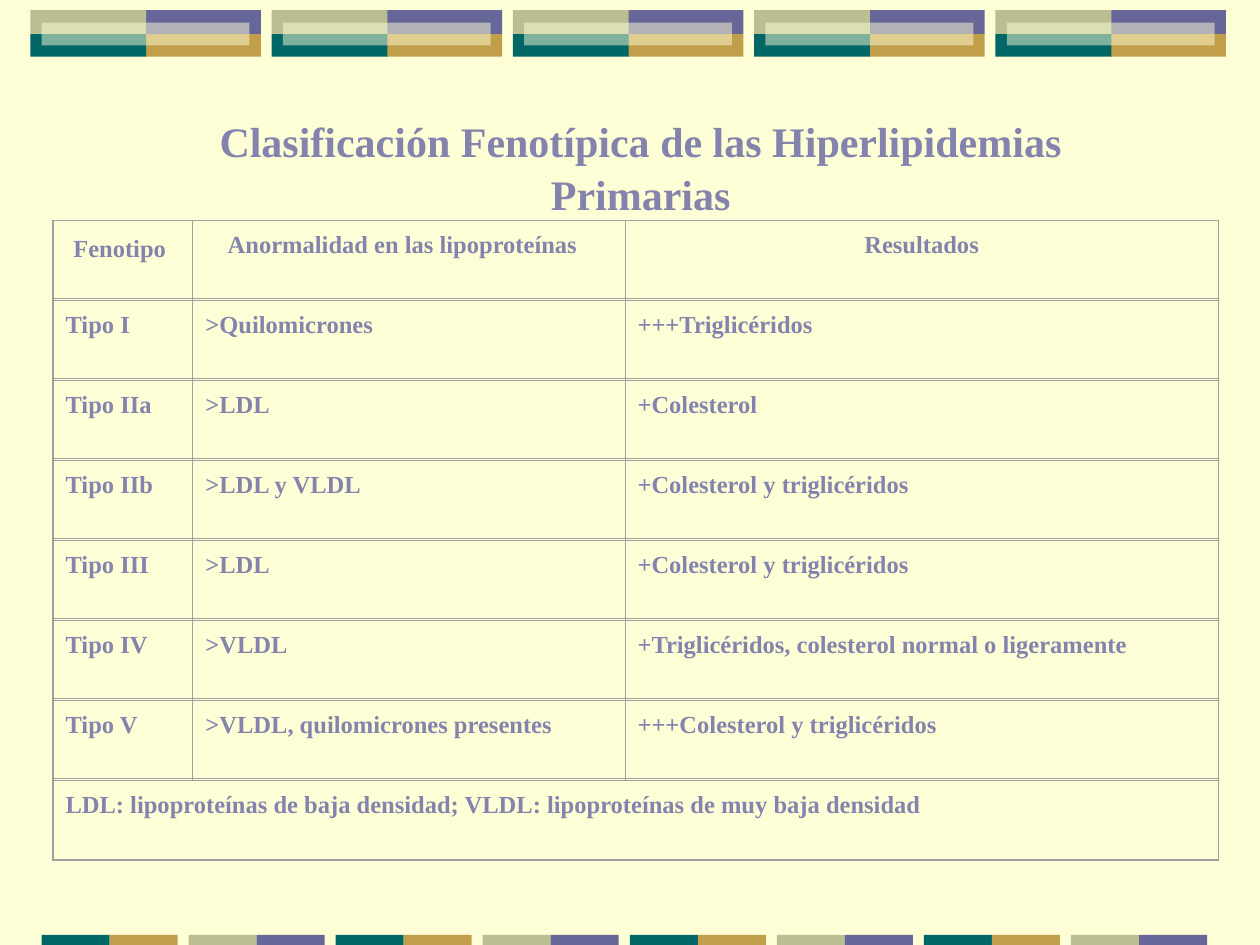
from dataclasses import dataclass

from lxml import etree
from pptx import Presentation
from pptx.dml.color import RGBColor
from pptx.enum.shapes import MSO_CONNECTOR, MSO_SHAPE
from pptx.enum.text import MSO_ANCHOR, PP_ALIGN
from pptx.oxml.ns import qn
from pptx.util import Inches, Pt


@dataclass(frozen=True)
class Theme:
    cream: str = "FEFED6"
    violet: str = "666699"
    gold: str = "C09E4A"
    teal: str = "006666"
    sage: str = "BABE90"
    text: str = "8383AD"
    rule: str = "A0A0A0"
    font: str = "Times New Roman"
    title_size: float = 24
    cell_size: float = 14
    inner_line: float = 0.5
    outer_line: float = 1


THEME = Theme()

HEADERS = ["Fenotipo", "Anormalidad en las lipoproteínas", "Resultados"]
PHENOTYPES = [
    ["Tipo I", ">Quilomicrones", "+++Triglicéridos"],
    ["Tipo IIa", ">LDL", "+Colesterol"],
    ["Tipo IIb", ">LDL y VLDL", "+Colesterol y triglicéridos"],
    ["Tipo III", ">LDL", "+Colesterol y triglicéridos"],
    ["Tipo IV", ">VLDL", "+Triglicéridos, colesterol normal o ligeramente"],
    ["Tipo V", ">VLDL, quilomicrones presentes", "+++Colesterol y triglicéridos"],
]
FOOTNOTE = "LDL: lipoproteínas de baja densidad; VLDL: lipoproteínas de muy baja densidad"

TABLE_LEFT, TABLE_TOP, TABLE_HEIGHT = 0.42, 1.75, 5.08
COLUMN_WIDTHS = [1.11, 3.43, 4.71]
HEADER_RIGHT_MARGINS = [0.15, 0.2, 0.1]


def add_block(s, x, y, w, h, color, alpha=None):
    block = s.shapes.add_shape(MSO_SHAPE.RECTANGLE, Inches(x), Inches(y), Inches(w), Inches(h))
    block.shadow.inherit = False
    block.fill.solid()
    block.fill.fore_color.rgb = RGBColor.from_string(color)
    block.line.fill.background()
    if alpha is not None:
        clr = block.fill._xPr.find(qn("a:solidFill"))[0]
        etree.SubElement(clr, qn("a:alpha"), val=str(alpha * 1000))


def add_top_band(s):
    pitch = (7.9 - 0.24) / 4
    for i in range(5):
        x = 0.24 + i * pitch
        add_block(s, x + 0.91, 0.08, 0.92, 0.19, THEME.violet)
        add_block(s, x + 0.91, 0.27, 0.92, 0.18, THEME.gold)
        add_block(s, x, 0.27, 0.92, 0.18, THEME.teal)
        add_block(s, x, 0.08, 0.92, 0.19, THEME.sage)
        add_block(s, x + 0.09, 0.18, 1.65, 0.18, THEME.cream, alpha=50)


def add_bottom_band(s):
    pitch = (8.5 - 0.33) / 7
    pairs = [(THEME.teal, THEME.gold), (THEME.sage, THEME.violet)]
    for i in range(8):
        for j, color in enumerate(pairs[i % 2]):
            add_block(s, 0.33 + i * pitch + j * 0.54, 7.42, 0.54, 0.08, color)


def style_text(p, size, align):
    p.alignment = align
    for r in p.runs:
        r.font.name = THEME.font
        r.font.size = Pt(size)
        r.font.bold = True
        r.font.color.rgb = RGBColor.from_string(THEME.text)


def set_border(cell, side, width):
    ln = etree.SubElement(cell._tc.get_or_add_tcPr(), qn(f"a:ln{side}"), w=str(Pt(width)))
    fill = etree.SubElement(ln, qn("a:solidFill"))
    etree.SubElement(fill, qn("a:srgbClr"), val=THEME.rule)


def style_cell(cell, is_edge):
    for side in "LRTB":
        set_border(cell, side, THEME.outer_line if is_edge[side] else THEME.inner_line)
    cell.fill.background()
    cell.vertical_anchor = MSO_ANCHOR.TOP
    cell.margin_left = cell.margin_right = Inches(0.1)
    cell.margin_top, cell.margin_bottom = Inches(0.09), Inches(0.05)


def add_phenotype_table(s):
    rows = [HEADERS, *PHENOTYPES, [FOOTNOTE, "", ""]]
    last_row, last_col = len(rows) - 1, len(HEADERS) - 1
    pitch = TABLE_HEIGHT / len(rows)
    width = sum(COLUMN_WIDTHS)
    table = s.shapes.add_table(len(rows), len(HEADERS), Inches(TABLE_LEFT), Inches(TABLE_TOP),
                               Inches(width), Inches(TABLE_HEIGHT)).table
    table.first_row = table.horz_banding = False
    for column, w in zip(table.columns, COLUMN_WIDTHS):
        column.width = Inches(w)
    table.cell(last_row, 0).merge(table.cell(last_row, last_col))

    for i, row in enumerate(rows):
        table.rows[i].height = Inches(pitch)
        for j, text in enumerate(row):
            cell = table.cell(i, j)
            style_cell(cell, {"L": j == 0 or i == last_row, "R": j == last_col or i == last_row,
                              "T": i == 0, "B": i == last_row})
            if text:
                cell.text_frame.text = text
                style_text(cell.text_frame.paragraphs[0], THEME.cell_size,
                           PP_ALIGN.CENTER if i == 0 else PP_ALIGN.LEFT)
    for j, margin in enumerate(HEADER_RIGHT_MARGINS):
        table.cell(0, j).margin_right = Inches(margin)
    table.cell(0, 0).margin_top = Inches(0.12)

    # Second line of the double rule between rows
    for i in range(1, len(rows)):
        add_rule(s, TABLE_LEFT, TABLE_TOP + i * pitch - 0.02, width)


def add_rule(s, x, y, w):
    rule = s.shapes.add_connector(MSO_CONNECTOR.STRAIGHT, Inches(x), Inches(y),
                                  Inches(x + w), Inches(y))
    rule.line.color.rgb = RGBColor.from_string(THEME.rule)
    rule.line.width = Pt(THEME.inner_line)
    etree.SubElement(rule._element.spPr, qn("a:effectLst"))


def add_title(s, text):
    tf = s.shapes.add_textbox(Inches(1), Inches(0.83), Inches(8.17), Inches(0.9)).text_frame
    tf.word_wrap = True
    tf.margin_top = Inches(0.07)
    tf.text = text
    p = tf.paragraphs[0]
    p.line_spacing = 1.05
    style_text(p, THEME.title_size, PP_ALIGN.CENTER)


def main():
    prs = Presentation()
    prs.slide_width, prs.slide_height = Inches(10), Inches(7.5)
    s = prs.slides.add_slide(prs.slide_layouts[6])
    s.background.fill.solid()
    s.background.fill.fore_color.rgb = RGBColor.from_string(THEME.cream)

    # Decorative bands
    add_top_band(s)
    add_bottom_band(s)

    # Content
    add_phenotype_table(s)
    add_title(s, "Clasificación Fenotípica de las Hiperlipidemias Primarias")
    prs.save("out.pptx")


if __name__ == "__main__":
    main()
